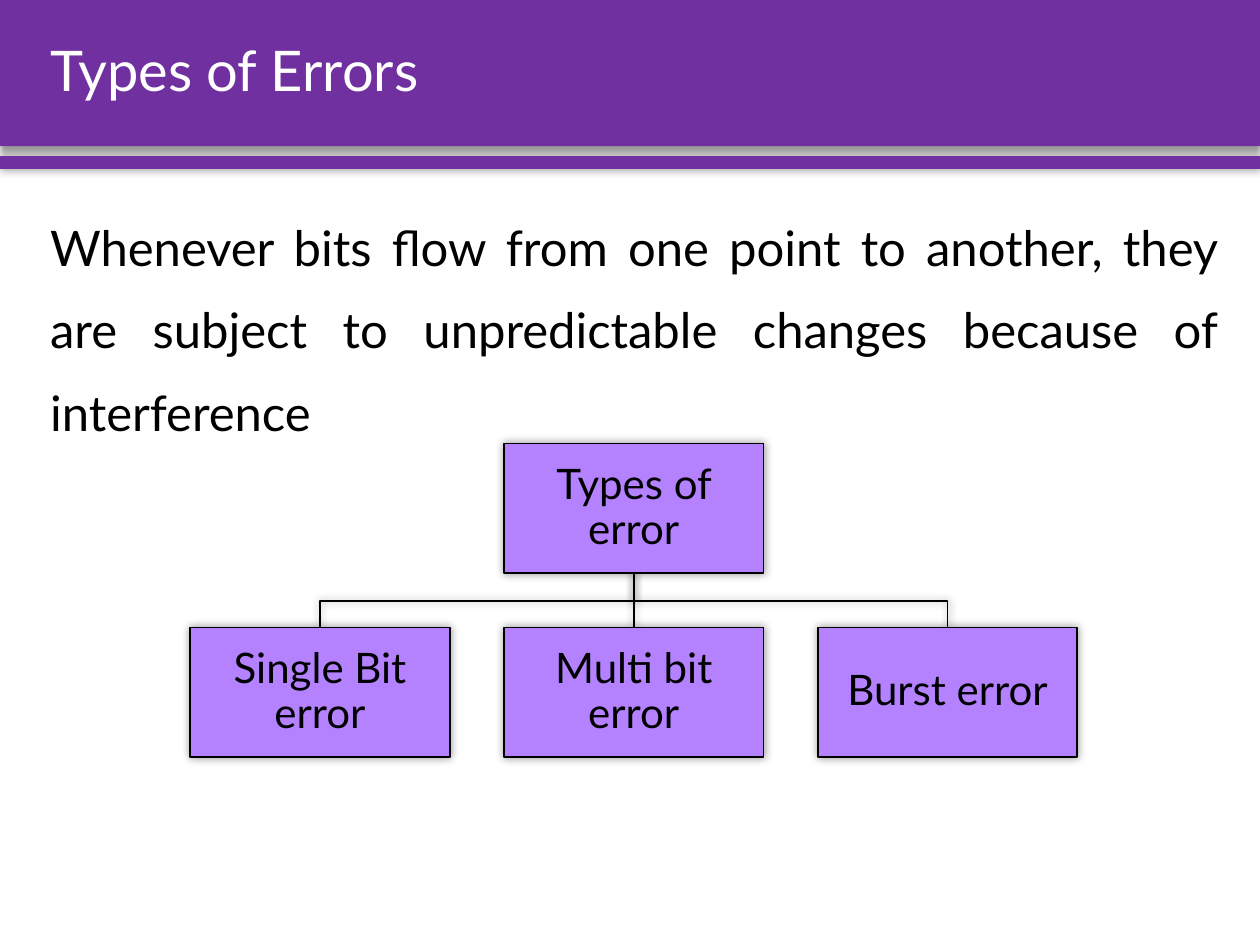
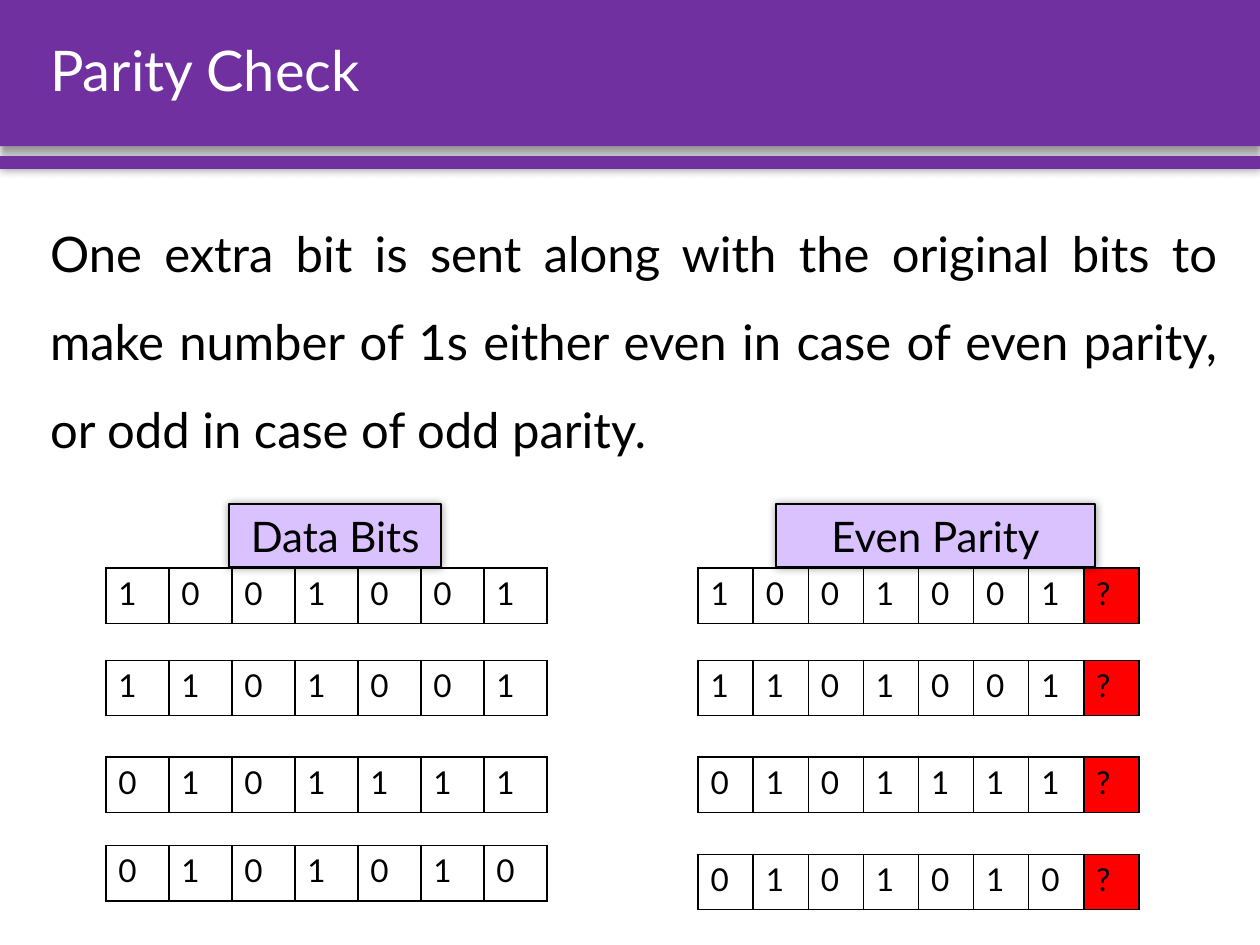
import pptx
import pptx.util
import pptx.dml.color
import pptx.enum.shapes
import pptx.enum.text
import pptx.oxml.ns
from lxml import etree

Inches = pptx.util.Inches
Pt = pptx.util.Pt
RGBColor = pptx.dml.color.RGBColor
ALIGN = pptx.enum.text.PP_ALIGN
ANCHOR = pptx.enum.text.MSO_ANCHOR
RECT = pptx.enum.shapes.MSO_SHAPE.RECTANGLE
STRAIGHT = pptx.enum.shapes.MSO_CONNECTOR.STRAIGHT
qn = pptx.oxml.ns.qn

PURPLE = RGBColor(0x70, 0x30, 0xA0)
VIOLET = RGBColor(0xB4, 0x81, 0xFF)
LILAC = RGBColor(0xDA, 0xC1, 0xFF)
RED = RGBColor(0xFF, 0x00, 0x00)
BLACK = RGBColor(0x00, 0x00, 0x00)
WHITE = RGBColor(0xFF, 0xFF, 0xFF)
FONT = "Lato"


def write(tf, text, size, color=BLACK, align=ALIGN.LEFT, spacing=1.0, anchor=ANCHOR.MIDDLE):
    tf.text = text
    tf.word_wrap = True
    tf.vertical_anchor = anchor
    p = tf.paragraphs[0]
    p.alignment = align
    p.line_spacing = spacing
    r = p.runs[0]
    r.font.name = FONT
    r.font.size = Pt(size)
    r.font.color.rgb = color


def finish(sp, fill=None, line=BLACK, blur=5, dist=0, angle=0):
    if fill is not None:
        sp.fill.solid()
        sp.fill.fore_color.rgb = fill
    if line is None:
        sp.line.fill.background()
    else:
        sp.line.color.rgb = line
        sp.line.width = Pt(1)
    effects = etree.SubElement(sp._element.spPr, qn("a:effectLst"))
    shadow = etree.SubElement(effects, qn("a:outerShdw"), blurRad=str(Pt(blur)),
                              dist=str(Pt(dist)), dir=str(angle * 60000), rotWithShape="0")
    black = etree.SubElement(shadow, qn("a:srgbClr"), val=str(BLACK))
    etree.SubElement(black, qn("a:alpha"), val="40000")


prs = pptx.Presentation()
prs.slide_width = Inches(10)
prs.slide_height = Inches(7.5)

pages = [
    ("Types of Errors", 2.03, 1.4,
     "Whenever bits flow from one point to another, they are subject to "
     "unpredictable changes because of interference"),
    ("Parity Check", 2.3, 1.5,
     "One extra bit is sent along with the original bits to make number of 1s "
     "either even in case of even parity, or odd in case of odd parity."),
]
for title, body_h, spacing, body in pages:
    s = prs.slides.add_slide(prs.slide_layouts[6])
    for y, h, blur, dist, angle in [(0, 1.16, 4, 3, 90), (1.24, 0.1, 5, 0, 0)]:
        sp = s.shapes.add_shape(RECT, 0, Inches(y), Inches(10), Inches(h))
        finish(sp, PURPLE, None, blur, dist, angle)
    sp = s.shapes.add_textbox(Inches(0.3), Inches(1.49), Inches(9.46), Inches(body_h))
    write(sp.text_frame, body, 28, align=ALIGN.JUSTIFY, spacing=spacing, anchor=ANCHOR.TOP)
    sp = s.shapes.add_textbox(Inches(0.3), 0, Inches(9.46), Inches(1.16))
    write(sp.text_frame, title, 32, WHITE, spacing=0.9)

types_slide, parity_slide = prs.slides

s = types_slide
node_w, node_h, step = 2.06, 1.03, 2.49
root_x, root_y, child_y = 4, 3.52, 4.98
center, root_bottom = root_x + node_w / 2, root_y + node_h
bus_y = 4.77
for side in (1, -1):
    end = center + side * step
    fb = s.shapes.build_freeform(Inches(center), Inches(root_bottom))
    fb.add_line_segments([(Inches(x), Inches(y)) for x, y in
                          [(center, bus_y), (end, bus_y), (end, child_y)]], close=False)
    sp = fb.convert_to_shape()
    sp.fill.background()
    finish(sp)
trunk = s.shapes.add_connector(STRAIGHT, Inches(center), Inches(root_bottom),
                               Inches(center), Inches(child_y))
finish(trunk)

nodes = []
for text, column, y in [("Types of error", 0, root_y), ("Single Bit error", -1, child_y),
                        ("Multi bit error", 0, child_y), ("Burst error", 1, child_y)]:
    sp = s.shapes.add_shape(RECT, Inches(root_x + column * step), Inches(y),
                            Inches(node_w), Inches(node_h))
    finish(sp, VIOLET)
    tf = sp.text_frame
    tf.margin_left = tf.margin_right = tf.margin_top = tf.margin_bottom = Inches(0.02)
    write(tf, text, 24, align=ALIGN.CENTER, spacing=0.9)
    nodes.append(sp)
trunk.begin_connect(nodes[0], 2)
trunk.end_connect(nodes[2], 0)

s = parity_slide
table_w, row_h = 3.5, 0.44
words = ["1001001", "1101001", "0101111", "0101010"]
for x, tops, parity_bit in [(0.84, [4.51, 5.24, 6.01, 6.71], ""),
                            (5.54, [4.51, 5.24, 6.01, 6.78], "?")]:
    for word, y in zip(words, tops):
        bits = word + parity_bit
        table = s.shapes.add_table(1, len(bits), Inches(x), Inches(y),
                                   Inches(table_w), Inches(row_h)).table
        table.first_row = False
        table.horz_banding = False
        for i, bit in enumerate(bits):
            table.columns[i].width = Inches(table_w / len(bits))
            cell = table.cell(0, i)
            write(cell.text_frame, bit, 18, anchor=ANCHOR.TOP)
            tcPr = cell._tc.get_or_add_tcPr()
            for edge in ("a:lnL", "a:lnR", "a:lnT", "a:lnB"):
                ln = etree.SubElement(tcPr, qn(edge), w=str(Pt(1)))
                solid = etree.SubElement(ln, qn("a:solidFill"))
                etree.SubElement(solid, qn("a:srgbClr"), val=str(BLACK))
            if bit == "?":
                cell.fill.solid()
                cell.fill.fore_color.rgb = RED
            else:
                cell.fill.background()

for text, x, w in [("Data Bits", 1.82, 1.68), ("Even Parity", 6.16, 2.53)]:
    sp = s.shapes.add_shape(RECT, Inches(x), Inches(4), Inches(w), Inches(0.5))
    finish(sp, LILAC)
    write(sp.text_frame, text, 24, align=ALIGN.CENTER)

prs.save("out.pptx")
